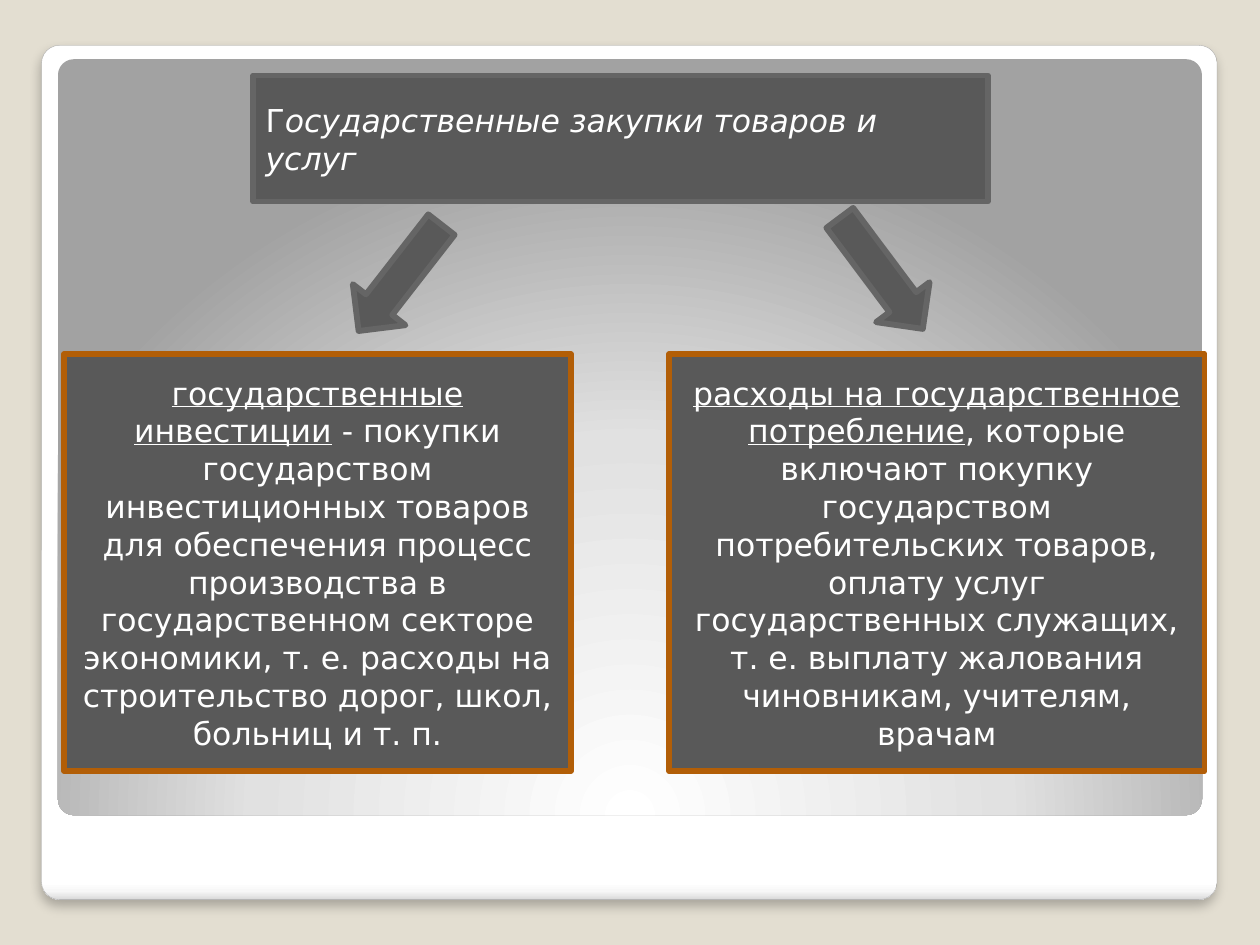
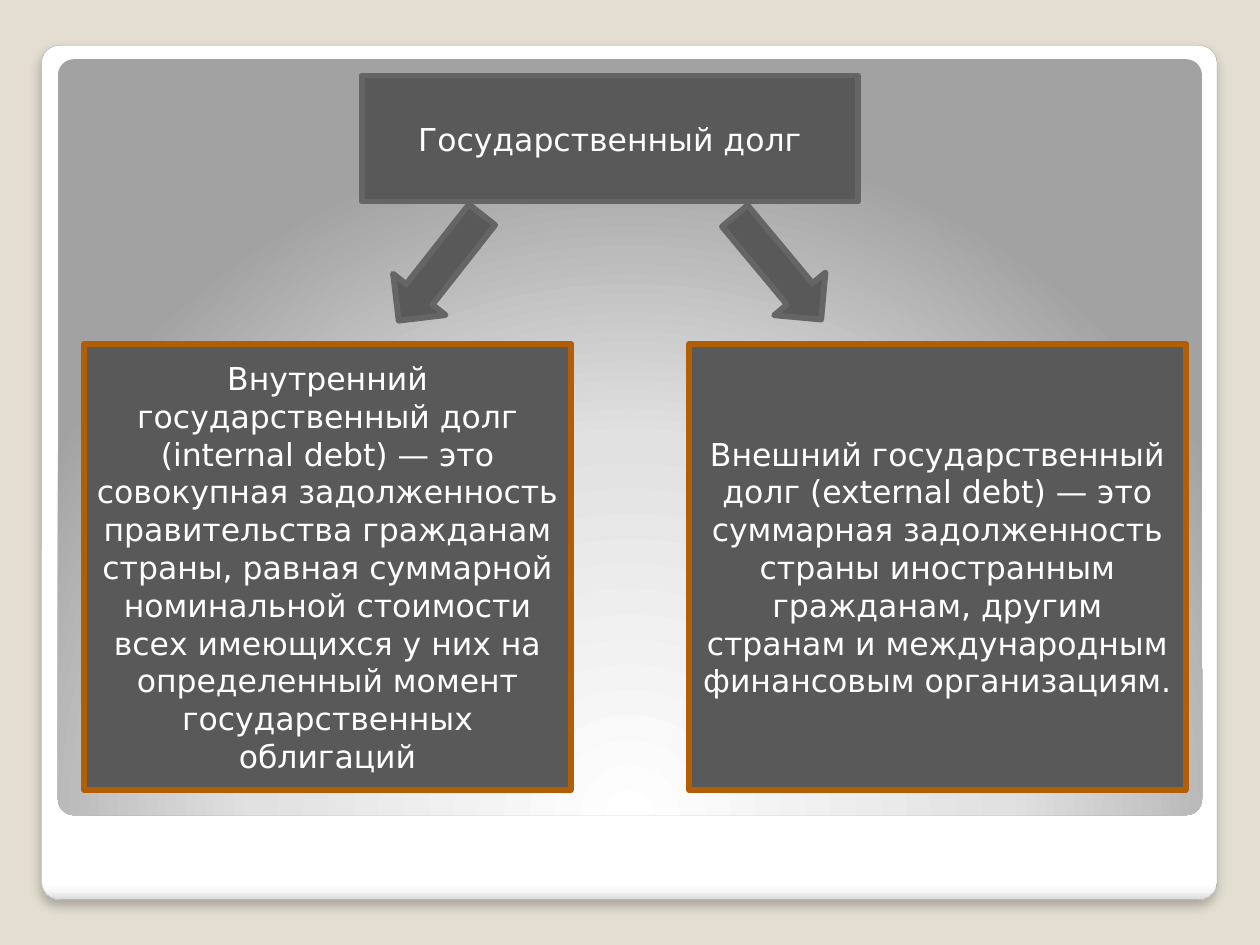
"""Two slides on state purchases and state debt, each a heading split into two boxes."""
from lxml.etree import SubElement
from pptx import Presentation
from pptx.dml.color import RGBColor
from pptx.enum.shapes import MSO_SHAPE as Shape
from pptx.enum.text import MSO_ANCHOR as Anchor, PP_ALIGN as Align
from pptx.oxml import parse_xml
from pptx.oxml.ns import nsdecls, qn
from pptx.util import Inches, Pt

SAND = RGBColor(0xE3, 0xDE, 0xD1)
CHARCOAL = RGBColor(0x59, 0x59, 0x59)
GREY = RGBColor(0x65, 0x65, 0x65)
ORANGE = RGBColor(0xB2, 0x5E, 0x07)
PALE_GREY = RGBColor(0xA4, 0xA4, 0xA4)
WHITE = RGBColor(0xFF, 0xFF, 0xFF)

FONT = "DejaVu Sans"
BORDER = 3.35
CORNER = 0.021
HEADING_TOP, HEADING_HEIGHT = 0.6, 1
ARROW_WIDTH = 0.53

CARD_STOPS = [(0, "FFFFFF"), (98, "FFFFFF"), (99, "F7F7F7"), (100, "DADADA")]
CARD_DIRECTION = '<a:lin ang="5400000" scaled="0"/>'
GLOW_STOPS = [(0, "FFFFFF"), (55, "E1E1E1"), (100, "A2A2A2")]
GLOW_DIRECTION = ('<a:path path="circle"><a:fillToRect l="50000" t="175000" '
                  'r="50000" b="-75000"/></a:path>')


def add_block(slide, kind, bounds, border=None, width=BORDER):
    """Add a charcoal preset shape, outlined only if a border colour is given."""
    block = slide.shapes.add_shape(kind, *map(Inches, bounds))
    block.shadow.inherit = False
    block.fill.solid()
    block.fill.fore_color.rgb = CHARCOAL
    if border is None:
        block.line.fill.background()
    else:
        block.line.color.rgb = border
        block.line.width = Pt(width)
    return block


def fill_gradient(block, stops, direction):
    """Replace the solid fill of a block by a gradient."""
    marks = "".join(f'<a:gs pos="{place * 1000}"><a:srgbClr val="{colour}"/></a:gs>'
                    for place, colour in stops)
    gradient = parse_xml(f'<a:gradFill {nsdecls("a")} rotWithShape="1">'
                         f'<a:gsLst>{marks}</a:gsLst>{direction}</a:gradFill>')
    properties = block._element.spPr
    properties.replace(properties.find(qn("a:solidFill")), gradient)


def drop_shadow(block):
    """Give a block a soft shadow straight below it."""
    effects = block._element.spPr.find(qn("a:effectLst"))
    shadow = SubElement(effects, qn("a:outerShdw"), blurRad=str(Pt(6)),
                        dist=str(Pt(4)), dir="5400000", algn="t", rotWithShape="0")
    colour = SubElement(shadow, qn("a:srgbClr"), val="000000")
    SubElement(colour, qn("a:alpha"), val="25000")


def add_run(paragraph, text, size=18, color=WHITE, italic=None, underline=None):
    """Append formatted text to a paragraph."""
    run = paragraph.add_run()
    run.text = text
    font = run.font
    font.name, font.size, font.color.rgb = FONT, Pt(size), color
    font.italic, font.underline = italic, underline


def add_box(slide, bounds, border, *runs, align=Align.CENTER):
    """Add a rectangle holding one paragraph of (text, format) runs."""
    box = add_block(slide, Shape.RECTANGLE, bounds, border)
    frame = box.text_frame
    frame.word_wrap = True
    frame.vertical_anchor = Anchor.MIDDLE
    paragraph = frame.paragraphs[0]
    paragraph.alignment = align
    for text, style in runs:
        add_run(paragraph, text, **style)


def add_heading(slide, left, width, *runs, **layout):
    """Add the grey-bordered heading box at the top."""
    add_box(slide, (left, HEADING_TOP, width, HEADING_HEIGHT), GREY, *runs, **layout)


def add_arrow(slide, left, top, rotation, length=1.07):
    """Add a block arrow that leads from the heading to a box."""
    arrow = add_block(slide, Shape.DOWN_ARROW, (left, top, ARROW_WIDTH, length), GREY)
    arrow.rotation = rotation


def add_framed_slide(deck):
    """Add a blank slide with the sand background, white card and grey panel."""
    slide = deck.slides.add_slide(deck.slide_layouts[6])
    slide.background.fill.solid()
    slide.background.fill.fore_color.rgb = SAND
    card = add_block(slide, Shape.ROUNDED_RECTANGLE, (0.33, 0.36, 9.33, 6.78),
                     PALE_GREY, 0.16)
    fill_gradient(card, CARD_STOPS, CARD_DIRECTION)
    drop_shadow(card)
    panel = add_block(slide, Shape.ROUNDED_RECTANGLE, (0.46, 0.47, 9.08, 6))
    fill_gradient(panel, GLOW_STOPS, GLOW_DIRECTION)
    for surface in (card, panel):
        surface.adjustments[0] = CORNER
    return slide


def build_purchases(deck):
    """Build the slide on state purchases of goods and services."""
    slide = add_framed_slide(deck)
    top, height = 2.81, 3.31
    add_heading(slide, 2.01, 5.83, ("Г", {}),
                ("осударственные закупки товаров и услуг", {"italic": True}),
                align=Align.LEFT)
    add_box(slide, (5.31, top, 4.25, height), ORANGE,
            ("расходы на государственное потребление", {"underline": True}),
            (", которые включают покупку государством потребительских товаров, "
             "оплату услуг государственных служащих, т. е. выплату жалования "
             "чиновникам, учителям, врачам", {}))
    add_box(slide, (0.51, top, 4.02, height), ORANGE,
            ("государственные инвестиции", {"underline": True}),
            (" - покупки государством инвестиционных товаров для обеспечения "
             "процесс производства в государственном секторе экономики, т. е. "
             "расходы на строительство дорог, школ, больниц и т. п.", {}))
    add_arrow(slide, 6.73, 1.62, 323.2, length=1.1)
    add_arrow(slide, 2.91, 1.67, 37.9)


def build_debt(deck):
    """Build the slide on internal and external state debt."""
    slide = add_framed_slide(deck)
    top, height = 2.73, 3.54
    add_heading(slide, 2.87, 3.94, ("Государственный долг", {}))
    add_box(slide, (0.67, top, 3.86, height), ORANGE,
            ("Внутренний государственный долг (internal debt) — это совокупная "
             "задолженность правительства гражданам страны, равная суммарной "
             "номинальной стоимости всех имеющихся у них на определенный момент "
             "государственных облигаций", {}))
    add_box(slide, (5.47, top, 3.94, height), ORANGE,
            ("Внешний государственный долг (external debt) — это суммарная "
             "задолженность страны иностранным гражданам, другим странам и "
             "международным финансовым организациям.", {}))
    add_arrow(slide, 3.23, 1.59, 38.2)
    add_arrow(slide, 5.91, 1.59, 320.2)


def main():
    """Build and save both slides."""
    deck = Presentation()
    deck.slide_width, deck.slide_height = Inches(10), Inches(7.5)
    build_purchases(deck)
    build_debt(deck)
    deck.save("out.pptx")


if __name__ == "__main__":
    main()
